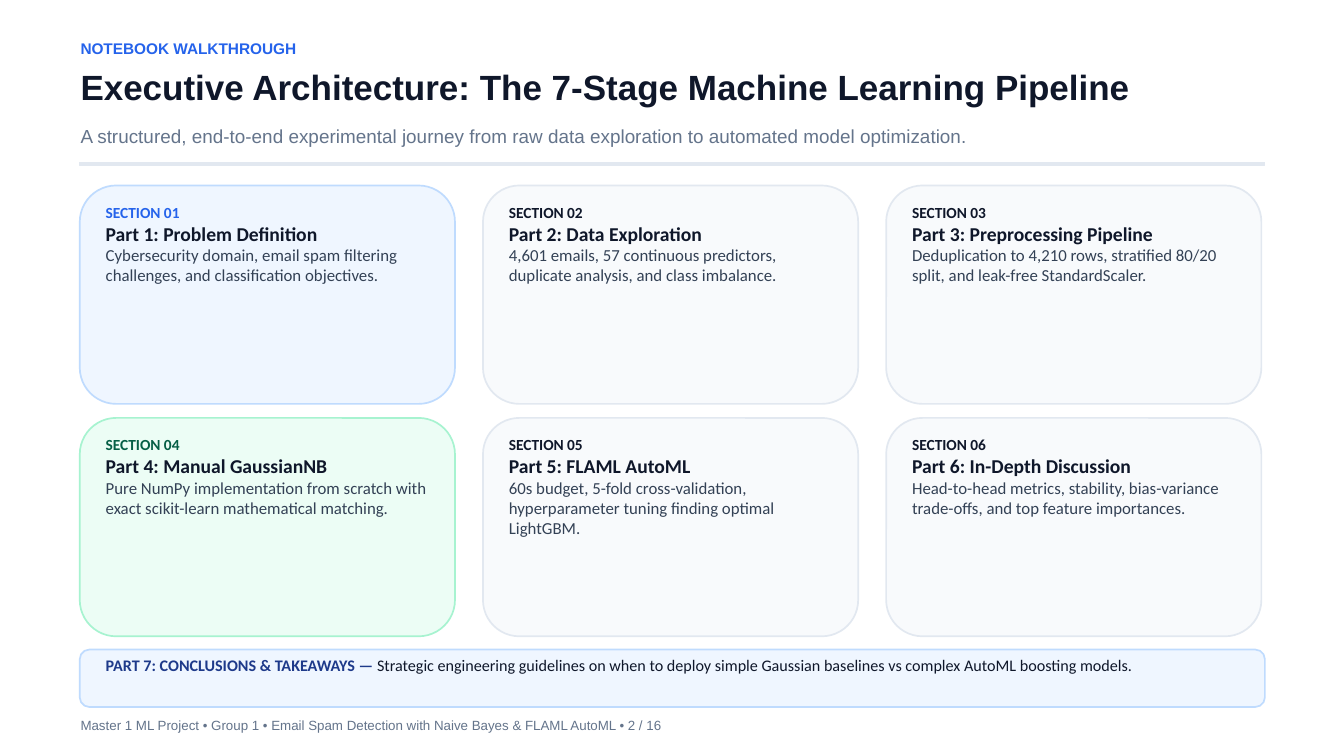
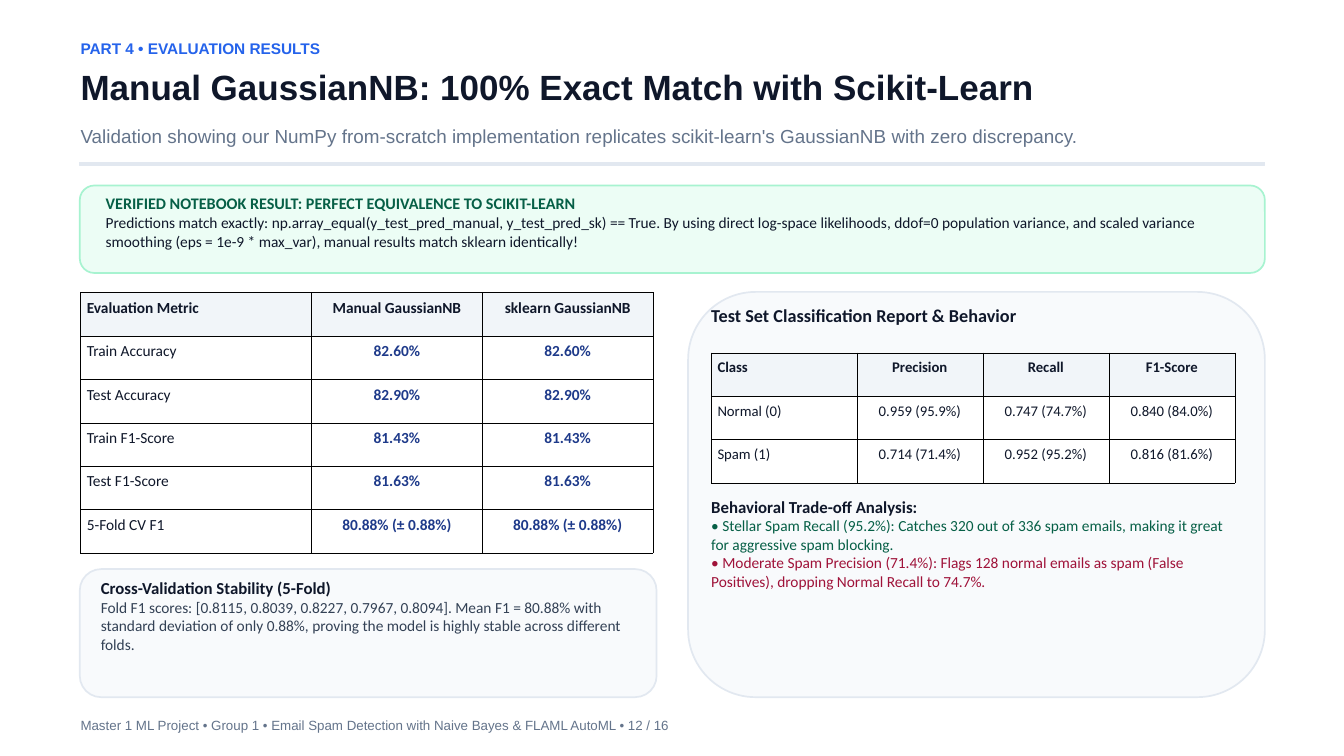
from lxml import etree
from pptx import Presentation
from pptx.dml.color import RGBColor
from pptx.enum.shapes import MSO_SHAPE
from pptx.enum.text import MSO_AUTO_SIZE, PP_ALIGN
from pptx.oxml.ns import qn
from pptx.util import Emu, Pt

RECTANGLE, ROUNDED = MSO_SHAPE.RECTANGLE, MSO_SHAPE.ROUNDED_RECTANGLE
FIT_TEXT = MSO_AUTO_SIZE.SHAPE_TO_FIT_TEXT
LEFT, CENTER = PP_ALIGN.LEFT, PP_ALIGN.CENTER

# Shared look: lengths and text sizes are in px, 96 to the inch
EMU_PER_PX = 9525
PT_PER_PX = 0.75
LINE_HEIGHT = 1.2
SLIDE_W, SLIDE_H = 1920, 1080
EDGE, CONTENT_TOP, CONTENT_W = 114, 265, 1693
HEADING_FONT, BODY_FONT = "Arial", "Calibri"

WHITE, BLACK = "FFFFFF", "000000"
INK, BODY, MUTED, RULE = "0F172A", "334155", "64748B", "E2E8F0"
BLUE, NAVY, GREEN, RED = "2563EB", "1E3A8A", "065F46", "9F1239"
HEAD_FILL = "F1F5F9"
PANELS = {  # fill, border
    "plain": ("F8FAFC", RULE),
    "blue": ("EFF6FF", "BFDBFE"),
    "green": ("ECFDF5", "A7F3D0"),
}

# Slide content
FOOTER = ("Master 1 ML Project • Group 1 • Email Spam Detection with "
          "Naive Bayes & FLAML AutoML • {} / 16")

PIPELINE_HEADER = (
    "NOTEBOOK WALKTHROUGH",
    "Executive Architecture: The 7-Stage Machine Learning Pipeline",
    "A structured, end-to-end experimental journey from raw data exploration "
    "to automated model optimization.",
    2,
)
STAGES = [  # panel, label colour, title, description
    ("blue", BLUE, "Problem Definition",
     "Cybersecurity domain, email spam filtering challenges, "
     "and classification objectives."),
    ("plain", INK, "Data Exploration",
     "4,601 emails, 57 continuous predictors, duplicate analysis, "
     "and class imbalance."),
    ("plain", INK, "Preprocessing Pipeline",
     "Deduplication to 4,210 rows, stratified 80/20 split, "
     "and leak-free StandardScaler."),
    ("green", GREEN, "Manual GaussianNB",
     "Pure NumPy implementation from scratch with exact scikit-learn "
     "mathematical matching."),
    ("plain", INK, "FLAML AutoML",
     "60s budget, 5-fold cross-validation, hyperparameter tuning "
     "finding optimal LightGBM."),
    ("plain", INK, "In-Depth Discussion",
     "Head-to-head metrics, stability, bias-variance trade-offs, "
     "and top feature importances."),
]
# A paragraph is a list of runs: text, size, colour, bold
CONCLUSIONS = [[
    ("PART 7: CONCLUSIONS & TAKEAWAYS — ", 23, NAVY, True),
    ("Strategic engineering guidelines on when to deploy simple Gaussian "
     "baselines vs complex AutoML boosting models.", 23, INK, False),
]]

RESULTS_HEADER = (
    "PART 4 • EVALUATION RESULTS",
    "Manual GaussianNB: 100% Exact Match with Scikit-Learn",
    "Validation showing our NumPy from-scratch implementation replicates "
    "scikit-learn's GaussianNB with zero discrepancy.",
    12,
)
VERIFIED = [
    [("VERIFIED NOTEBOOK RESULT: PERFECT EQUIVALENCE TO SCIKIT-LEARN",
      23, GREEN, True)],
    [("Predictions match exactly: np.array_equal(y_test_pred_manual, "
      "y_test_pred_sk) == True. By using direct log-space likelihoods, ddof=0 "
      "population variance, and scaled variance smoothing "
      "(eps = 1e-9 * max_var), manual results match sklearn identically!",
      22, INK, False)],
]
METRICS = [("Evaluation Metric", "Manual GaussianNB", "sklearn GaussianNB")] + [
    (metric, score, score) for metric, score in [
        ("Train Accuracy", "82.60%"),
        ("Test Accuracy", "82.90%"),
        ("Train F1-Score", "81.43%"),
        ("Test F1-Score", "81.63%"),
        ("5-Fold CV F1", "80.88% (± 0.88%)"),
    ]
]
STABILITY = [
    [("Cross-Validation Stability (5-Fold)", 24, INK, True)],
    [("Fold F1 scores: [0.8115, 0.8039, 0.8227, 0.7967, 0.8094]. "
      "Mean F1 = 80.88% with standard deviation of only 0.88%, proving the "
      "model is highly stable across different folds.", 22, BODY, False)],
]
REPORT_TITLE = [[("Test Set Classification Report & Behavior", 26, INK, True)]]
REPORT = [
    ("Class", "Precision", "Recall", "F1-Score"),
    ("Normal (0)", "0.959 (95.9%)", "0.747 (74.7%)", "0.840 (84.0%)"),
    ("Spam (1)", "0.714 (71.4%)", "0.952 (95.2%)", "0.816 (81.6%)"),
]
TRADE_OFFS = [
    [("Behavioral Trade-off Analysis:", 24, INK, True)],
    [("• Stellar Spam Recall (95.2%): Catches 320 out of 336 spam emails, "
      "making it great for aggressive spam blocking.", 22, GREEN, False)],
    [("• Moderate Spam Precision (71.4%): Flags 128 normal emails as spam "
      "(False Positives), dropping Normal Recall to 74.7%.", 22, RED, False)],
]


def px(length):
    return Emu(round(length * EMU_PER_PX))


def rgb(color):
    return RGBColor.from_string(color)


def box(*lengths):
    return [px(length) for length in lengths]


def write(paragraph, runs, font=BODY_FONT, align=LEFT):
    paragraph.alignment = align
    paragraph.line_spacing = Pt(runs[0][1] * PT_PER_PX * LINE_HEIGHT)
    for text, size, color, bold in runs:
        run = paragraph.add_run()
        run.text = text
        run.font.name = font
        run.font.size = Pt(size * PT_PER_PX)
        run.font.bold = bold
        run.font.color.rgb = rgb(color)


def add_text(slide, x, y, w, h, paragraphs, font=BODY_FONT):
    frame = slide.shapes.add_textbox(*box(x, y, w, h)).text_frame
    frame.word_wrap = True
    frame.auto_size = FIT_TEXT
    frame.margin_left = frame.margin_top = 0
    frame.margin_right = frame.margin_bottom = 0
    for i, runs in enumerate(paragraphs):
        write(frame.add_paragraph() if i else frame.paragraphs[0], runs, font)


def add_block(slide, preset, x, y, w, h, fill, border, border_pt):
    block = slide.shapes.add_shape(preset, *box(x, y, w, h))
    block.shadow.inherit = False
    block.fill.solid()
    block.fill.fore_color.rgb = rgb(fill)
    block.line.color.rgb = rgb(border)
    block.line.width = Pt(border_pt)


def add_panel(slide, x, y, w, h, style, paragraphs, pad_x, pad_y):
    add_block(slide, ROUNDED, x, y, w, h, *PANELS[style], 1.8)
    add_text(slide, x + pad_x, y + pad_y, w - 2 * pad_x, h - 2 * pad_y,
             paragraphs)


def add_borders(cell):
    properties = cell._tc.get_or_add_tcPr()
    for side in ("lnL", "lnR", "lnT", "lnB"):
        line = etree.SubElement(properties, qn("a:" + side), w=str(Pt(0.37)))
        fill = etree.SubElement(line, qn("a:solidFill"))
        etree.SubElement(fill, qn("a:srgbClr"), val=BLACK)


def add_grid(slide, x, y, widths, rows, size, value_color, value_bold):
    row_h = 62
    grid = slide.shapes.add_table(
        len(rows), len(widths),
        *box(x, y, sum(widths), row_h * len(rows))).table
    grid.first_row = grid.horz_banding = False
    for column, width in zip(grid.columns, widths):
        column.width = px(width)
    for r, row in enumerate(rows):
        grid.rows[r].height = px(row_h)
        for c, text in enumerate(row):
            cell = grid.cell(r, c)
            add_borders(cell)
            cell.fill.solid()
            cell.fill.fore_color.rgb = rgb(WHITE if r else HEAD_FILL)
            cell.margin_left = cell.margin_right = px(9)
            cell.margin_top = cell.margin_bottom = px(9)
            is_value = r > 0 and c > 0
            color = value_color if is_value else INK
            bold = value_bold if is_value else r == 0
            write(cell.text_frame.paragraphs[0], [(text, size, color, bold)],
                  align=CENTER if c else LEFT)


def start_slide(deck, kicker, title, subtitle, number):
    slide = deck.slides.add_slide(deck.slide_layouts[6])
    slide.background.fill.solid()
    slide.background.fill.fore_color.rgb = rgb(WHITE)
    for y, h, run in [
        (56, 42, (kicker, 22, BLUE, True)),
        (94, 84, (title, 50, INK, True)),
        (178, 52, (subtitle, 27, MUTED, False)),
        (1024, 24, (FOOTER.format(number), 19, MUTED, False)),
    ]:
        add_text(slide, EDGE + 1, y, CONTENT_W - 2, h, [[run]], HEADING_FONT)
    add_block(slide, RECTANGLE, EDGE, 232, CONTENT_W, 4, RULE, RULE, 1.13)
    return slide


def build_pipeline(deck):
    slide = start_slide(deck, *PIPELINE_HEADER)
    columns, pitch_x, pitch_y = 3, 576, 332
    for i, (style, label_color, title, description) in enumerate(STAGES):
        row, column = divmod(i, columns)
        add_panel(slide, EDGE + column * pitch_x, CONTENT_TOP + row * pitch_y,
                  536, 312, style, [
                      [(f"SECTION {i + 1:02}", 22, label_color, True)],
                      [(f"Part {i + 1}: {title}", 28, INK, True)],
                      [(description, 24, BODY, False)],
                  ], 37, 25)
    add_panel(slide, EDGE, 928, CONTENT_W, 82, "blue", CONCLUSIONS, 37, 8)


def build_results(deck):
    slide = start_slide(deck, *RESULTS_HEADER)
    add_panel(slide, EDGE, CONTENT_TOP, CONTENT_W, 125, "green", VERIFIED,
              37, 12)

    # Left half: scores and their stability
    half_w, half_top, bottom = 824, 417, 996
    add_grid(slide, EDGE + 1, half_top + 1, [330, 244, 244], METRICS,
             22, NAVY, True)
    add_panel(slide, EDGE, 813, half_w, bottom - 813, "plain", STABILITY,
              30, 12)

    # Right half: report per class and what it means
    report_x, pad = EDGE + CONTENT_W - half_w, 33
    add_panel(slide, report_x, half_top, half_w, bottom - half_top, "plain",
              REPORT_TITLE, pad, 18)
    add_grid(slide, report_x + pad, 504, [208, 180, 180, 180], REPORT,
             21, INK, False)
    add_text(slide, report_x + pad, 709, half_w - 2 * pad, 263, TRADE_OFFS)


def main():
    deck = Presentation()
    deck.slide_width, deck.slide_height = box(SLIDE_W, SLIDE_H)
    build_pipeline(deck)
    build_results(deck)
    deck.save("out.pptx")


if __name__ == "__main__":
    main()
